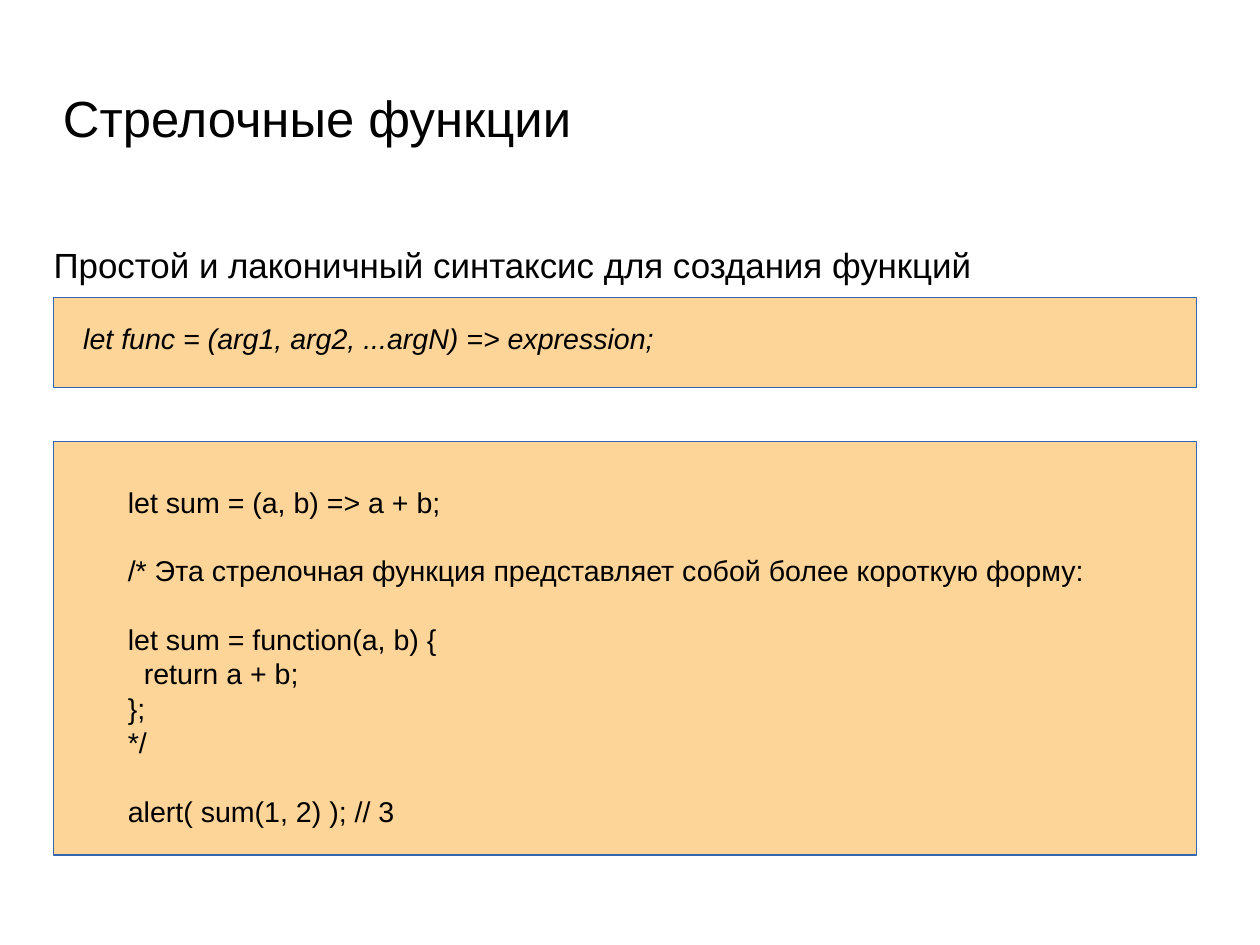
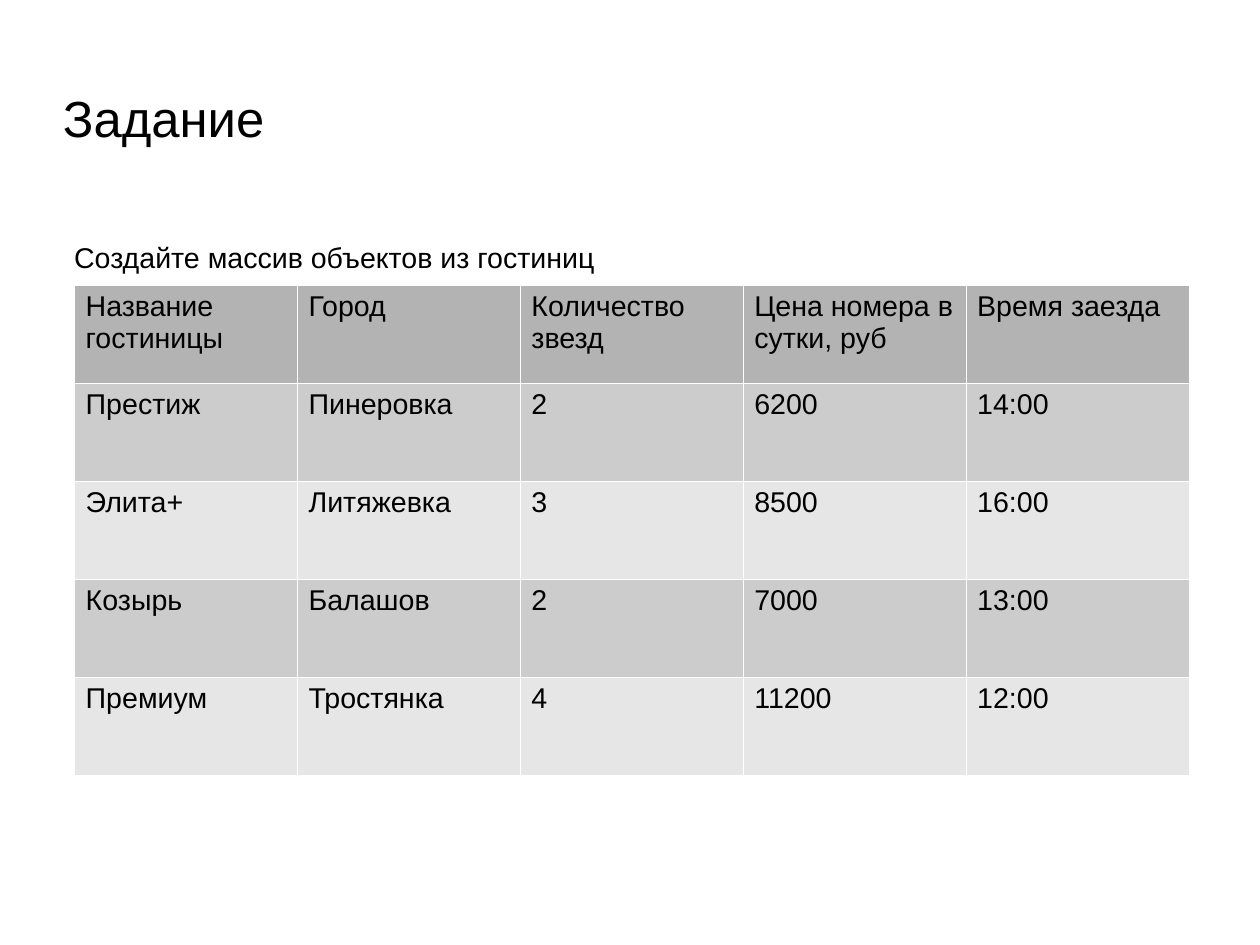
from dataclasses import dataclass

from lxml import etree
from pptx import Presentation
from pptx.dml.color import RGBColor
from pptx.enum import shapes, text
from pptx.oxml.ns import qn
from pptx.util import Emu, Inches, Pt


@dataclass(frozen=True)
class Theme:
    font: str = "Arial"
    ink: str = "000000"
    panel: str = "FED598"
    edge: str = "3465AF"
    head: str = "B3B3B3"
    bands: tuple = ("CCCCCC", "E6E6E6")
    rule: str = "FFFFFF"
    title: int = 32
    lead: int = 22
    body: int = 18


theme = Theme()
deck = Presentation()
# Standard 28 by 21 cm screen page
deck.slide_width, deck.slide_height = Emu(10080625), Emu(7559675)


def write(frame, words, size, italic=False, flush=False):
    """Fill a text frame, one paragraph per line, in the shared font."""
    frame.text = words
    frame.word_wrap = True
    if flush:
        frame.margin_left = frame.margin_right = 0
        frame.margin_top = frame.margin_bottom = 0
        frame.vertical_anchor = text.MSO_ANCHOR.MIDDLE
    for para in frame.paragraphs:
        para.alignment = text.PP_ALIGN.LEFT
        for run in para.runs:
            run.font.name = theme.font
            run.font.size = Pt(size)
            run.font.italic = italic
            run.font.color.rgb = RGBColor.from_string(theme.ink)


def page(name):
    """Add a slide with the shared title style."""
    slide = deck.slides.add_slide(deck.slide_layouts[5])
    title = slide.shapes.title
    title.left, title.top = Inches(0.55), Inches(0.63)
    title.width, title.height = Inches(7.87), Inches(0.79)
    write(title.text_frame, name, theme.title, flush=True)
    title.text_frame.auto_size = text.MSO_AUTO_SIZE.NONE
    return slide


# Slide 1: arrow functions
slide = page("Стрелочные функции")
lead = slide.shapes.add_textbox(Inches(0.47), Inches(2.13), Inches(9.92), Inches(0.37))
write(lead.text_frame, "Простой и лаконичный синтаксис для создания функций",
      theme.lead, flush=True)
lead.text_frame.paragraphs[0].alignment = text.PP_ALIGN.JUSTIFY

# Code panels: top and height of panel, then of text, left, width, italic, lines
syntax = ["let func = (arg1, arg2, ...argN) => expression;"]
sample = [
    "let sum = (a, b) => a + b;",
    "/* Эта стрелочная функция представляет собой более короткую форму:",
    "let sum = function(a, b) {",
    "return a + b;",
    "};",
    "*/",
    "alert( sum(1, 2) ); // 3",
]
for top, high, y, tall, left, wide, italic, lines in (
    (2.6, 0.79, 2.76, 0.38, 0.63, 9.13, True, syntax),
    (3.86, 3.62, 4.19, 2.9, 1.02, 8.74, False, sample),
):
    panel = slide.shapes.add_shape(shapes.MSO_SHAPE.RECTANGLE, Inches(0.47),
                                   Inches(top), Inches(10), Inches(high))
    panel.shadow.inherit = False
    panel.fill.solid()
    panel.fill.fore_color.rgb = RGBColor.from_string(theme.panel)
    panel.line.color.rgb = RGBColor.from_string(theme.edge)
    panel.line.width = Pt(0.75)
    code = slide.shapes.add_textbox(Inches(left), Inches(y), Inches(wide), Inches(tall))
    write(code.text_frame, "\n".join(lines), theme.body, italic)

# Gaps between code groups, and the indented body line
paras = code.text_frame.paragraphs
for spot in (1, 2, 6):
    paras[spot].space_before = Pt(21.7)
paras[3]._p.get_or_add_pPr().set("marL", str(Inches(0.14)))

# Slide 2: task with a table of hotels
slide = page("Задание")
task = slide.shapes.add_textbox(Inches(0.55), Inches(2.05), Inches(9.92), Inches(0.94))
write(task.text_frame, "Создайте массив объектов из гостиниц", theme.body)

hotels = [
    ("Название гостиницы", "Город", "Количество звезд",
     "Цена номера в сутки, руб", "Время заезда"),
    ("Престиж", "Пинеровка", "2", "6200", "14:00"),
    ("Элита+", "Литяжевка", "3", "8500", "16:00"),
    ("Козырь", "Балашов", "2", "7000", "13:00"),
    ("Премиум", "Тростянка", "4", "11200", "12:00"),
]
table = slide.shapes.add_table(len(hotels), len(hotels[0]), Inches(0.65), Inches(2.49),
                               Inches(9.75), Inches(4.29)).table
table.first_row = table.horz_banding = False
for r, row in enumerate(hotels):
    for c, words in enumerate(row):
        cell = table.cell(r, c)
        write(cell.text_frame, words, theme.body)
        # Borders go before the fill in the cell properties
        props = cell._tc.get_or_add_tcPr()
        for side in ("a:lnL", "a:lnR", "a:lnT", "a:lnB"):
            line = etree.SubElement(props, qn(side), w=str(Pt(0.06)))
            fill = etree.SubElement(line, qn("a:solidFill"))
            etree.SubElement(fill, qn("a:srgbClr"), val=theme.rule)
        cell.fill.solid()
        cell.fill.fore_color.rgb = RGBColor.from_string(
            theme.bands[(r - 1) % 2] if r else theme.head)

deck.save("out.pptx")
